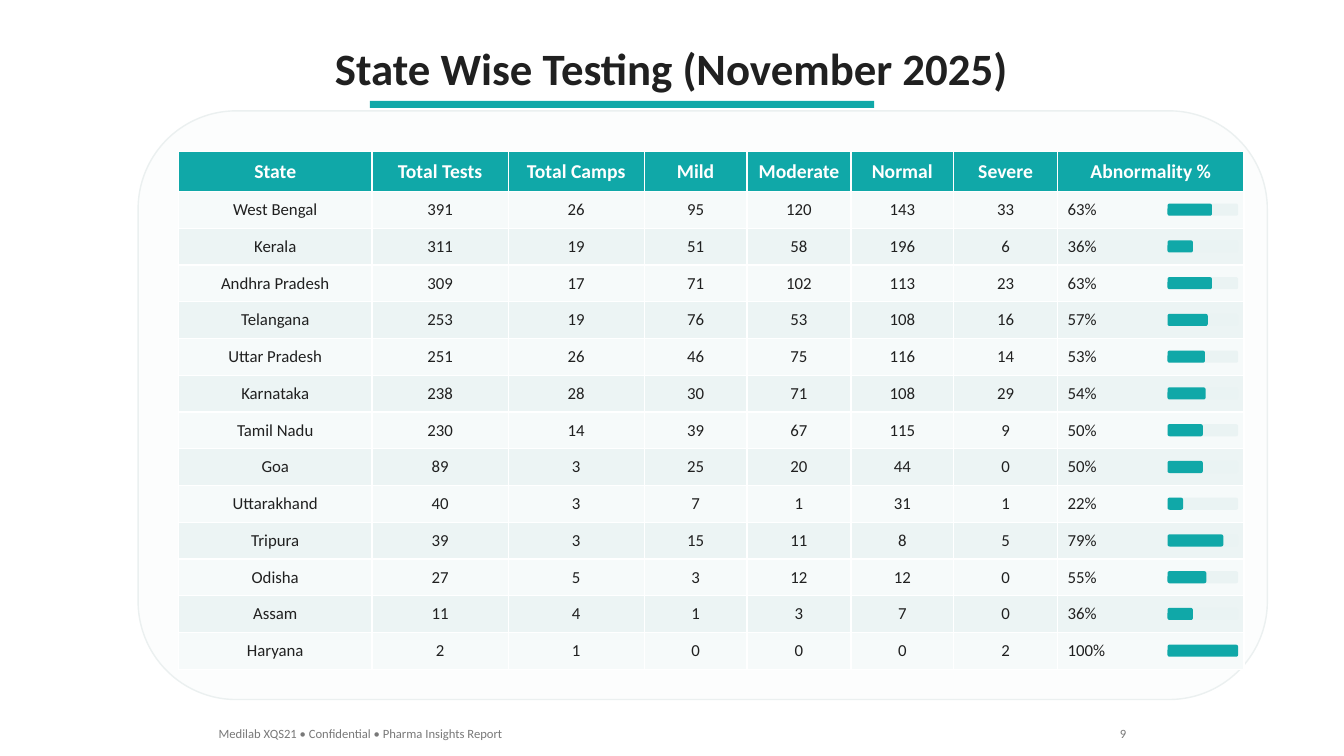
from dataclasses import dataclass

from pptx import Presentation
from pptx.dml.color import RGBColor
from pptx.enum.shapes import MSO_SHAPE as SHAPE
from pptx.enum.text import MSO_ANCHOR as ANCHOR, MSO_AUTO_SIZE as AUTO, PP_ALIGN as ALIGN
from pptx.util import Emu, Pt


@dataclass(frozen=True)
class Theme:
    font: str = "Calibri"
    accent: str = "10A8A8"
    ink: str = "202020"
    muted: str = "787878"
    white: str = "FFFFFF"
    panel: str = "FCFDFD"
    panel_line: str = "EBF0F0"
    track: str = "EAF3F3"
    bands: tuple = ("F6FAFA", "ECF4F4")
    title_size: int = 32
    header_size: int = 14
    body_size: int = 12
    footer_size: int = 9


THEME = Theme()
EMU_PER_PX = 9144  # 100 px to the inch

HEADERS = ("State", "Total Tests", "Total Camps", "Mild", "Moderate", "Normal",
           "Severe", "Abnormality %")
STATES = (
    ("West Bengal", 391, 26, 95, 120, 143, 33, 63),
    ("Kerala", 311, 19, 51, 58, 196, 6, 36),
    ("Andhra Pradesh", 309, 17, 71, 102, 113, 23, 63),
    ("Telangana", 253, 19, 76, 53, 108, 16, 57),
    ("Uttar Pradesh", 251, 26, 46, 75, 116, 14, 53),
    ("Karnataka", 238, 28, 30, 71, 108, 29, 54),
    ("Tamil Nadu", 230, 14, 39, 67, 115, 9, 50),
    ("Goa", 89, 3, 25, 20, 44, 0, 50),
    ("Uttarakhand", 40, 3, 7, 1, 31, 1, 22),
    ("Tripura", 39, 3, 15, 11, 8, 5, 79),
    ("Odisha", 27, 5, 3, 12, 12, 0, 55),
    ("Assam", 11, 4, 1, 3, 7, 0, 36),
    ("Haryana", 2, 1, 0, 0, 0, 2, 100),
)
COLUMN_WIDTHS = (192, 135, 135, 102, 103, 102, 103, 185)
TABLE_LEFT, TABLE_TOP = 177, 150
HEADER_HEIGHT, BODY_HEIGHT = 40, 474
ROW_PITCH = BODY_HEIGHT / len(STATES)
BAR_LEFT, BAR_TOP, BAR_WIDTH, BAR_HEIGHT = 1158, 202, 70, 12


def px(n):
    return Emu(round(n * EMU_PER_PX))


def rgb(color):
    return RGBColor.from_string(color)


def write(tf, text, size, color, bold=False, align=ALIGN.LEFT):
    p = tf.paragraphs[0]
    p.alignment = align
    r = p.add_run()
    r.text = text
    r.font.name, r.font.size, r.font.bold = THEME.font, Pt(size), bold
    r.font.color.rgb = rgb(color)


def add_title(s, text, left, top, width, height):
    title = s.shapes.title
    title.left, title.top, title.width, title.height = map(px, (left, top, width, height))
    tf = title.text_frame
    tf.word_wrap, tf.auto_size = False, AUTO.SHAPE_TO_FIT_TEXT
    tf.vertical_anchor = ANCHOR.MIDDLE
    write(tf, text, THEME.title_size, THEME.ink, True, ALIGN.CENTER)


def add_block(s, kind, left, top, width, height, fill, line=None):
    sp = s.shapes.add_shape(kind, px(left), px(top), px(width), px(height))
    sp.shadow.inherit = False
    sp.fill.solid()
    sp.fill.fore_color.rgb = rgb(fill)
    if line:
        sp.line.color.rgb = rgb(line)
        sp.line.width = Pt(1)
    else:
        sp.line.fill.background()


def add_note(s, text, left, top, width, height, align):
    box = s.shapes.add_textbox(px(left), px(top), px(width), px(height))
    tf = box.text_frame
    tf.word_wrap, tf.auto_size = False, AUTO.SHAPE_TO_FIT_TEXT
    write(tf, text, THEME.footer_size, THEME.muted, align=align)


def fill_cell(cell, text, fill, size, color, bold, align):
    cell.fill.solid()
    cell.fill.fore_color.rgb = rgb(fill)
    cell.vertical_anchor = ANCHOR.MIDDLE
    write(cell.text_frame, text, size, color, bold, align)


def add_state_table(s):
    frame = s.shapes.add_table(
        len(STATES) + 1, len(HEADERS), px(TABLE_LEFT), px(TABLE_TOP),
        px(sum(COLUMN_WIDTHS)), px(HEADER_HEIGHT + BODY_HEIGHT))
    table = frame.table
    for column, width in zip(table.columns, COLUMN_WIDTHS):
        column.width = px(width)
    for i, row in enumerate(table.rows):
        row.height = px(ROW_PITCH if i else HEADER_HEIGHT)

    for j, header in enumerate(HEADERS):
        fill_cell(table.cell(0, j), header, THEME.accent, THEME.header_size,
                  THEME.white, True, ALIGN.CENTER)
    for i, (*values, percent) in enumerate(STATES):
        band = THEME.bands[i % 2]
        for j, text in enumerate([*map(str, values), f"{percent}%"]):
            align = ALIGN.CENTER if j < len(values) else ALIGN.LEFT
            fill_cell(table.cell(i + 1, j), text, band, THEME.body_size,
                      THEME.ink, False, align)


def add_abnormality_bars(s):
    """Draw a track and its filled share for each state; a full bar needs no track."""
    for i, (*_, percent) in enumerate(STATES):
        top = BAR_TOP + i * ROW_PITCH
        if percent < 100:
            add_block(s, SHAPE.ROUNDED_RECTANGLE, BAR_LEFT, top, BAR_WIDTH,
                      BAR_HEIGHT, THEME.track)
        add_block(s, SHAPE.ROUNDED_RECTANGLE, BAR_LEFT, top,
                  BAR_WIDTH * percent / 100, BAR_HEIGHT, THEME.accent)


def main():
    prs = Presentation()
    prs.slide_width, prs.slide_height = px(1333), px(750)
    s = prs.slides.add_slide(prs.slide_layouts[5])
    s.background.fill.solid()
    s.background.fill.fore_color.rgb = rgb(THEME.white)

    add_title(s, "State Wise Testing (November 2025)", 319, 35, 694, 64)
    add_block(s, SHAPE.RECTANGLE, 367, 100, 500, 7, THEME.accent)
    add_block(s, SHAPE.ROUNDED_RECTANGLE, 137, 110, 1120, 584,
              THEME.panel, THEME.panel_line)
    add_state_table(s)
    add_abnormality_bars(s)
    add_note(s, "Medilab XQS21 • Confidential • Pharma Insights Report",
             207, 715, 305, 25, ALIGN.LEFT)
    add_note(s, "9", 1100, 715, 27, 25, ALIGN.RIGHT)
    prs.save("out.pptx")


if __name__ == "__main__":
    main()
